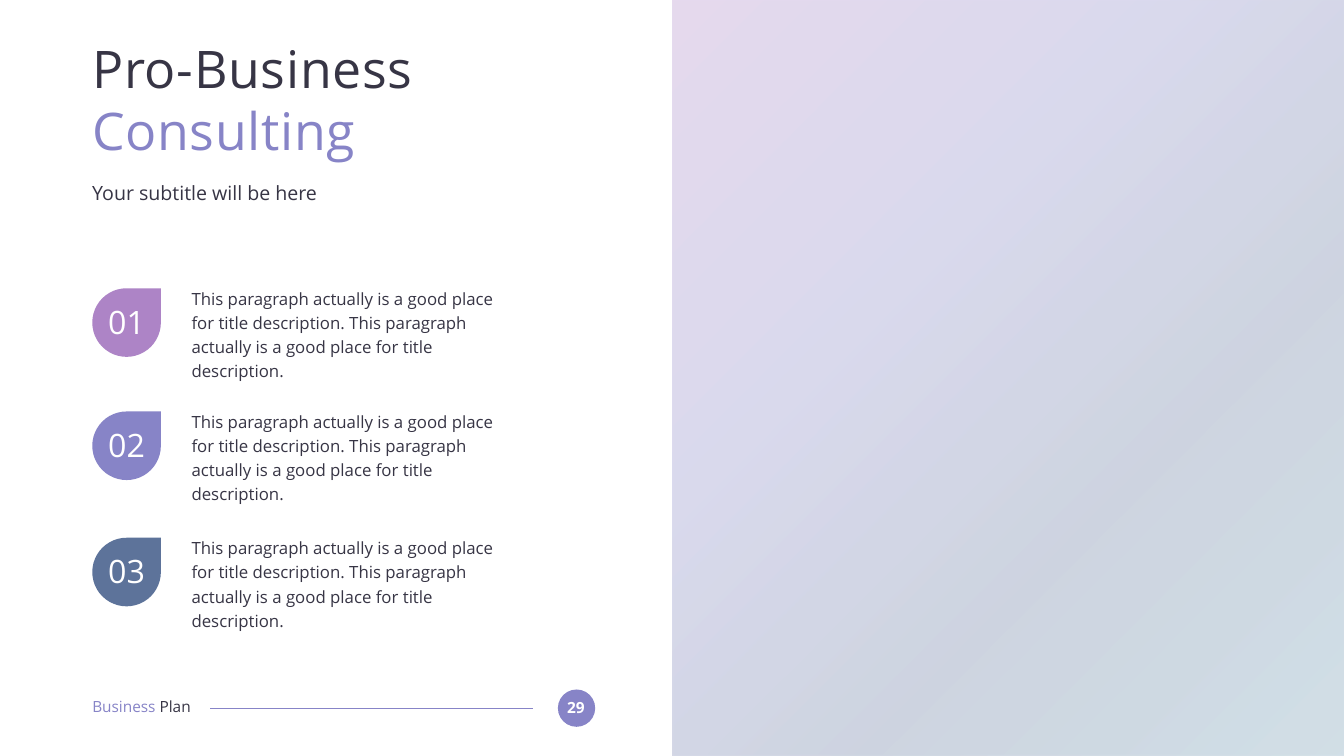
from pptx import Presentation
from pptx.dml.color import RGBColor
from pptx.enum.shapes import MSO_CONNECTOR, MSO_SHAPE
from pptx.enum.text import PP_ALIGN
from pptx.oxml import parse_xml
from pptx.oxml.ns import nsdecls, qn
from pptx.util import Pt
from lxml.etree import SubElement

COLORS = {
    "ink": "373545",
    "white": "FFFFFF",
    "orchid": "AD84C6",
    "violet": "8784C7",
    "slate": "5D739A",
    "teal": "6997AF",
}
MARGIN = 131.8
DESCRIPTION = (
    "This paragraph actually is a good place for title description. "
    "This paragraph actually is a good place for title description."
)


def rgb(name):
    return RGBColor.from_string(COLORS[name])


def write(frame, runs, size, bold=False, align=PP_ALIGN.LEFT, line_spacing=None,
          tracking=0, font="Open Sans"):
    """Fill a text frame with one paragraph of (text, colour name) runs."""
    frame.word_wrap = True
    frame.margin_left = frame.margin_right = frame.margin_top = frame.margin_bottom = 0
    paragraph = frame.paragraphs[0]
    paragraph.alignment = align
    if line_spacing:
        paragraph.line_spacing = line_spacing
    for text, color in runs:
        run = paragraph.add_run()
        run.text = text
        run.font.name = font
        run.font.size = Pt(size)
        run.font.bold = bold
        run.font.color.rgb = rgb(color)
        if tracking:
            run.font._element.set("spc", str(tracking * 100))


class SlideBuilder:
    def __init__(self, slide):
        self.slide = slide

    def text(self, left, top, width, height, runs, **style):
        box = self.slide.shapes.add_textbox(Pt(left), Pt(top), Pt(width), Pt(height))
        write(box.text_frame, runs, **style)

    def shape(self, kind, left, top, width, height, color):
        shape = self.slide.shapes.add_shape(kind, Pt(left), Pt(top), Pt(width), Pt(height))
        shape.shadow.inherit = False
        shape.fill.solid()
        shape.fill.fore_color.rgb = rgb(color)
        shape.line.fill.background()
        return shape

    def gradient_panel(self, left, top, width, height, stops, alpha, angle):
        panel = self.shape(MSO_SHAPE.RECTANGLE, left, top, width, height, stops[0][1])
        stop_xml = "".join(
            f'<a:gs pos="{position * 1000}"><a:srgbClr val="{COLORS[color]}">'
            f'<a:alpha val="{alpha * 1000}"/></a:srgbClr></a:gs>'
            for position, color in stops
        )
        gradient = parse_xml(
            f'<a:gradFill {nsdecls("a")} rotWithShape="1"><a:gsLst>{stop_xml}</a:gsLst>'
            f'<a:lin ang="{angle * 60000}" scaled="0"/></a:gradFill>'
        )
        properties = panel._element.spPr
        properties.replace(properties.find(qn("a:solidFill")), gradient)

    def line(self, x1, y1, x2, y2, color, weight):
        rule = self.slide.shapes.add_connector(
            MSO_CONNECTOR.STRAIGHT, Pt(x1), Pt(y1), Pt(x2), Pt(y2))
        rule.line.color.rgb = rgb(color)
        rule.line.width = Pt(weight)
        SubElement(rule._element.spPr, qn("a:effectLst"))

    def numbered_point(self, top, number, color):
        self.text(273.6, top - 5.6, 452.2, 102.2, [(DESCRIPTION, "ink")],
                  size=24, line_spacing=1.2)
        self.shape(MSO_SHAPE.TEAR, MARGIN, top, 98, 98, color)
        self.text(141.2, top + 19.6, 79.2, 55.4, [(number, "white")],
                  size=46, align=PP_ALIGN.CENTER)

    def footer(self, page):
        self.shape(MSO_SHAPE.OVAL, 797, 985, 53.3, 53.3, "violet")
        self.text(801.4, 997.2, 42.5, 26.6, [(page, "white")],
                  size=22, bold=True, align=PP_ALIGN.CENTER)
        self.line(761, 1011.6, 299.5, 1011.6, "violet", 1.5)
        self.text(MARGIN, 996.5, 186.5, 26.6,
                  [("Business ", "violet"), ("Plan", "ink")], size=22)


def main():
    deck = Presentation()
    deck.slide_width, deck.slide_height = Pt(1920), Pt(1080)
    builder = SlideBuilder(deck.slides.add_slide(deck.slide_layouts[6]))

    builder.footer("29")
    builder.gradient_panel(
        960, 0, 960, 1080,
        [(0, "orchid"), (33, "violet"), (66, "slate"), (100, "teal")],
        alpha=30, angle=45)
    builder.text(MARGIN, 52.6, 712.8, 181.4,
                 [("Pro-Business ", "ink"), ("Consulting", "violet")],
                 size=74, tracking=1)
    builder.text(MARGIN, 258.5, 712.8, 35.3,
                 [("Your subtitle will be here", "ink")], size=28)
    points = [(411.8, "orchid"), (587.8, "violet"), (768.2, "slate")]
    for index, (top, color) in enumerate(points, start=1):
        builder.numbered_point(top, f"{index:02}", color)

    deck.save("out.pptx")


if __name__ == "__main__":
    main()
